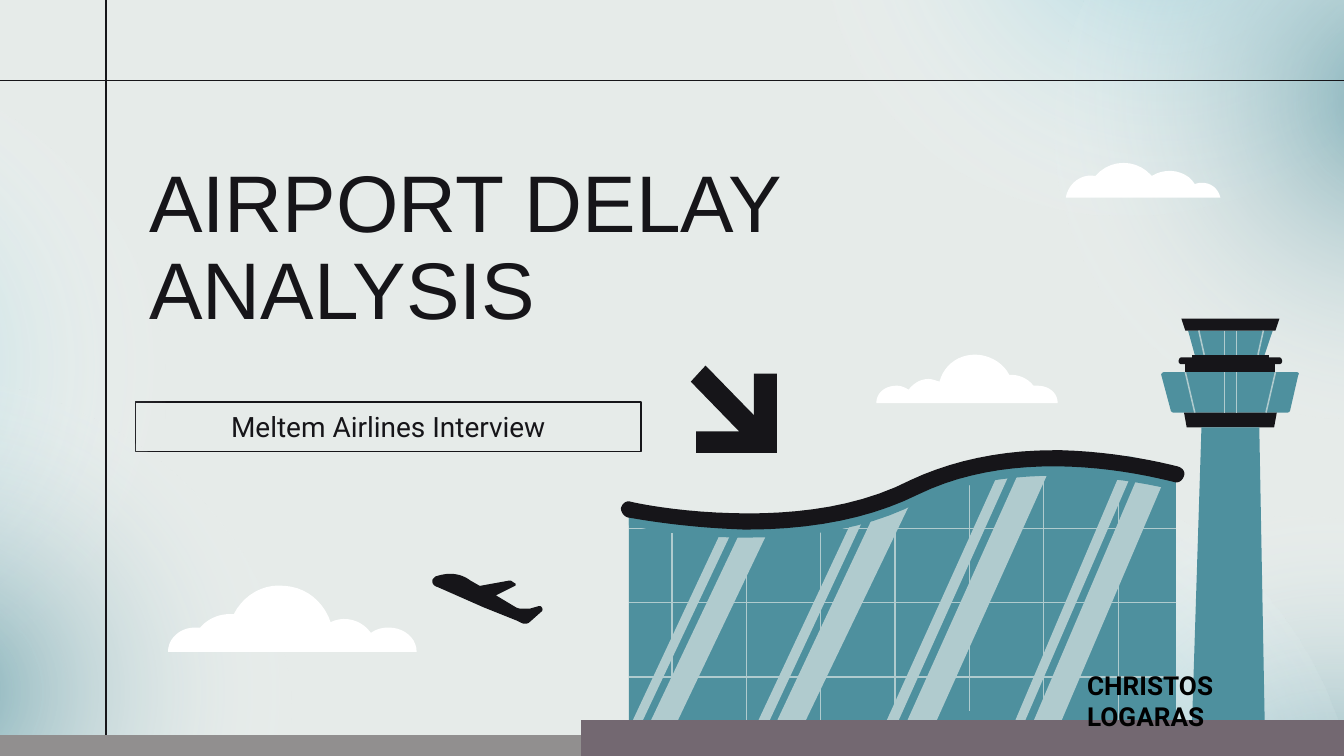
from pptx import Presentation
from pptx.dml.color import RGBColor as RGB
from pptx.enum.shapes import MSO_CONNECTOR as LINK, MSO_SHAPE as SHAPE
from pptx.enum.text import MSO_ANCHOR as ANCHOR, PP_ALIGN as ALIGN
from pptx.oxml import parse_xml
from pptx.oxml.ns import nsdecls, qn
from pptx.util import Inches, Pt

INK = RGB(0x16, 0x15, 0x19)
TEAL = RGB(0x4E, 0x90, 0x9E)
SKY = RGB(0x80, 0xC8, 0xD8)
GLASS = RGB(0xB0, 0xCB, 0xCE)
WHITE = RGB(0xFF, 0xFF, 0xFF)
PALE = RGB(0xE6, 0xEB, 0xE9)
GREY = RGB(0x91, 0x8F, 0x8F)
MAUVE = RGB(0x73, 0x68, 0x71)
BLACK = RGB(0, 0, 0)

# A 16:9 slide on a grid of ten columns; rows are as tall as columns are wide
deck = Presentation()
deck.slide_width = Inches(10)
deck.slide_height = deck.slide_width * 9 // 16
COL = deck.slide_width / 10
ROWS = deck.slide_height / COL

slide = deck.slides.add_slide(deck.slide_layouts[0])
slide.background.fill.solid()
slide.background.fill.fore_color.rgb = PALE
shapes = slide.shapes


def draw(trace, color):
    """Fill an outline: two numbers are a corner, six a Bezier curve."""
    steps = [[float(n) * COL for n in step.split()] for step in trace.split(",")]
    x, y = steps[0]
    pen = shapes.build_freeform(round(x), round(y))
    dots = []
    for step in steps[1:]:
        if len(step) == 6:
            a, b, c, d, e, f = step
            for i in range(1, 11):
                t = i / 10
                s = 1 - t
                dots.append((s**3 * x + 3 * s * s * t * a + 3 * s * t * t * c + t**3 * e,
                             s**3 * y + 3 * s * s * t * b + 3 * s * t * t * d + t**3 * f))
        else:
            dots.append(tuple(step))
        x, y = step[-2:]
    pen.add_line_segments(dots, close=True)
    form = pen.convert_to_shape()
    form.shadow.inherit = False
    form.fill.solid()
    form.fill.fore_color.rgb = color
    form.line.fill.background()


def rule(x1, y1, x2, y2, color, width):
    """Draw a straight line between two grid points."""
    ends = [round(n * COL) for n in (x1, y1, x2, y2)]
    line = shapes.add_connector(LINK.STRAIGHT, *ends)
    line.line.color.rgb = color
    line.line.width = Pt(width)
    line.element.spPr.append(parse_xml(f"<a:effectLst {nsdecls('a')}/>"))


# Soft glows at the edges
for x, y, turn, color, alpha in [
    (7.31, 4.07, 237.1, TEAL, 81), (5.1, 3.68, 237.1, SKY, 68),
    (-3.95, 0.41, 202, SKY, 68), (-3.01, 2.84, 202, TEAL, 68),
    (6.04, -3.08, 149, SKY, 68), (7.77, -1.57, 149, TEAL, 68),
]:
    box = [round(n * COL) for n in (x, y, 5.22, 4.6)]
    glow = shapes.add_shape(SHAPE.OVAL, *box)
    glow.rotation = turn
    glow.shadow.inherit = False
    glow.line.fill.background()
    glow.fill.background()
    stops = "".join(
        f'<a:gs pos="{pos}000"><a:srgbClr val="{tone}"><a:alpha val="{see}000"/></a:srgbClr></a:gs>'
        for pos, tone, see in [(0, color, alpha), (58, WHITE, 0), (100, WHITE, 0)])
    props = glow.element.spPr
    props.replace(props.find(qn("a:noFill")), parse_xml(
        f'<a:gradFill {nsdecls("a")} rotWithShape="1"><a:gsLst>{stops}</a:gsLst>'
        '<a:path path="circle"><a:fillToRect l="50000" t="50000" r="50000" b="50000"/>'
        '</a:path></a:gradFill>'))

# Frame lines
rule(0.79, 0, 0.79, ROWS, INK, 0.75)
rule(0, 0.6, 10, 0.6, INK, 0.75)

# Clouds
for cloud in [
    "2.89 4.67,2.85 4.67 2.8 4.68 2.76 4.71,2.69 4.61 2.56 4.58 2.46 4.63,"
    "2.41 4.48 2.28 4.37 2.12 4.36,1.96 4.34 1.81 4.43 1.74 4.57,"
    "1.73 4.57 1.72 4.57 1.71 4.57,1.62 4.57 1.54 4.61 1.49 4.67,"
    "1.47 4.67 1.46 4.67 1.45 4.67,1.34 4.67 1.25 4.75 1.25 4.85,"
    "3.1 4.85,3.1 4.75 3.01 4.67 2.89 4.67",
    "6.67 2.87,6.7 2.87 6.73 2.88 6.76 2.9,6.8 2.85 6.85 2.82 6.91 2.82,"
    "6.93 2.82 6.96 2.83 6.99 2.84,7.02 2.73 7.11 2.65 7.23 2.64,"
    "7.34 2.63 7.46 2.69 7.51 2.79,7.51 2.79 7.52 2.79 7.53 2.79,"
    "7.59 2.79 7.65 2.82 7.69 2.87,7.7 2.87 7.71 2.87 7.72 2.87,"
    "7.8 2.87 7.87 2.92 7.87 3,6.52 3,6.52 2.92 6.59 2.87 6.67 2.87",
    "9.08 1.47,7.93 1.47,7.95 1.36 8.05 1.29 8.15 1.31,8.26 1.18 8.46 1.18 8.57 1.31,"
    "8.68 1.24 8.83 1.27 8.89 1.37,8.97 1.34 9.06 1.38 9.08 1.47",
]:
    draw(cloud, WHITE)

# Runway and arrow
draw(f"10 5.47,0 5.47,0 {ROWS},10 {ROWS}", GREY)
draw("5.25 2.72,5.14 2.84,5.5 3.21,5.18 3.21,5.18 3.37,5.78 3.37,5.78 2.78,"
     "5.61 2.78,5.61 3.09", INK)

# Control tower
for part, color in [
    ("8.73 3.07,9.58 3.07,9.59 3.07 9.6 3.06 9.6 3.05,9.66 2.79,9.67 2.78 9.66 2.77 9.65 2.77,"
     "8.66 2.77,8.65 2.77 8.64 2.78 8.64 2.79,8.71 3.05,8.71 3.06 8.72 3.07 8.73 3.07", TEAL),
    ("9.5 3.07,9.48 3.18,8.83 3.18,8.81 3.07", INK),
    ("8.87 5.37,9.41 5.37,9.37 3.18,8.94 3.18", TEAL),
    ("9.49 2.71,9.49 2.77,8.82 2.77,8.82 2.71", INK),
    ("9.52 2.66,9.53 2.66 9.54 2.67 9.54 2.69,9.54 2.7 9.53 2.71 9.52 2.71,8.79 2.71,"
     "8.78 2.71 8.77 2.7 8.77 2.69,8.77 2.67 8.78 2.66 8.79 2.66", INK),
    ("8.89 2.64,9.41 2.64,9.47 2.46,8.84 2.46", TEAL),
    ("9.52 2.37,9.49 2.46,8.82 2.46,8.79 2.37", INK),
    ("9.44 2.64,9.44 2.69,8.87 2.69,8.87 2.64", INK),
]:
    draw(part, color)
for top, foot, pairs in [
    (2.46, 2.64, [(8.92, 8.96), (9.11, 9.11), (9.2, 9.2), (9.4, 9.36)]),
    (2.77, 3.07, [(8.82, 8.89), (9.11, 9.11), (9.2, 9.2), (9.49, 9.42)]),
]:
    for x1, x2 in pairs:
        rule(x1, top, x2, foot, GLASS, 0.83)

# Terminal wall with glints
draw("4.68 3.79,4.68 5.37,8.75 5.37,8.75 3.53,8.36 3.43 7.51 3.28 6.81 3.63,"
     "5.98 4.03 4.93 3.84 4.68 3.79", TEAL)
for glint in [
    "7.68 5.39,7.87 5.43,8.71 3.46,8.52 3.42", "7.55 5.37,7.62 5.38,8.47 3.41,8.39 3.39",
    "6.72 5.43,6.92 5.47,7.81 3.49,7.61 3.45", "6.58 5.4,6.66 5.42,7.55 3.44,7.47 3.43",
    "5.67 5.6,5.87 5.62,6.76 3.77,6.55 3.73", "5.54 5.58,5.62 5.59,6.44 3.83,6.37 3.81",
    "4.73 5.6,4.92 5.62,5.75 3.88,5.56 3.85", "4.61 5.57,4.68 5.58,5.5 3.84,5.43 3.82",
]:
    draw(glint, GLASS)

# Window bars: seven upright, three level, one pitch
GAP = (8.32 - 5) / 6
for i, top in enumerate([3.84, 3.84, 3.8, 3.71, 3.57, 3.5, 3.53]):
    x = 5 + i * GAP
    foot = top + 1.72 if i < 5 else ROWS
    rule(x, top, x, foot, GLASS, 0.67)
for i in range(3):
    y = 3.93 + i * GAP
    rule(8.75, y, 4.68, y, GLASS, 0.67)

# Ground, eaves and roof
draw(f"10 5.36,10 {ROWS},4.32 {ROWS},4.32 5.36", MAUVE)
draw("7.84 3.42,7.86 3.42 7.88 3.42 7.9 3.42,8.24 3.42 8.55 3.48 8.75 3.53,8.75 3.65,"
     "8.55 3.6 8.22 3.54 7.84 3.54,7.52 3.54 7.16 3.59 6.83 3.74,"
     "6.49 3.92 6.06 4 5.57 4,5.53 4,5.24 4 4.96 3.97 4.68 3.91,4.68 3.8,"
     "4.8 3.82 5.15 3.89 5.57 3.89,5.95 3.89 6.39 3.83 6.78 3.64,"
     "7.08 3.49 7.44 3.42 7.84 3.42", TEAL)
draw("7.84 3.35,7.86 3.35 7.88 3.35 7.9 3.35,8.25 3.36 8.56 3.42 8.76 3.47,"
     "8.8 3.48 8.82 3.51 8.81 3.54,8.8 3.57 8.78 3.59 8.75 3.59,"
     "8.55 3.54 8.22 3.47 7.84 3.47,7.51 3.47 7.16 3.52 6.83 3.68,"
     "6.49 3.85 6.06 3.94 5.57 3.94,5.53 3.94,5.24 3.93 4.95 3.9 4.67 3.85,"
     "4.64 3.84 4.62 3.81 4.62 3.78,4.63 3.75 4.65 3.73 4.68 3.73,"
     "4.8 3.76 5.15 3.82 5.57 3.82,5.95 3.82 6.39 3.77 6.78 3.57,"
     "7.08 3.43 7.44 3.35 7.84 3.35", INK)

# Plane
draw("3.35 4.27,3.41 4.27 3.46 4.29 3.5 4.32,3.57 4.36,3.79 4.32,3.8 4.32,3.83 4.34,"
     "3.84 4.34 3.84 4.36 3.83 4.36,3.69 4.43,3.84 4.52,3.86 4.53 3.88 4.53 3.9 4.53,"
     "3.91 4.53 3.92 4.53 3.94 4.53,4.01 4.51,4.02 4.51,4.04 4.52 4.04 4.54 4.03 4.55,"
     "3.94 4.63,3.93 4.64 3.92 4.64 3.91 4.64,3.9 4.64 3.9 4.64 3.89 4.64,3.85 4.62,"
     "3.6 4.52,3.26 4.37,3.22 4.36 3.21 4.33 3.22 4.31,3.23 4.3 3.23 4.3 3.24 4.29,"
     "3.27 4.28 3.31 4.27 3.35 4.27", INK)

# Title, subtitle and author
title, sub = shapes.title, slide.placeholders[1]
name = shapes.add_textbox(0, 0, 0, 0)
for shape, box, text, font, size, color, bold, align, anchor in [
    (title, (1.01, 0.82, 6.7, 2.08), "AIRPORT DELAY ANALYSIS",
     "Arial", 43, INK, False, ALIGN.LEFT, ANCHOR.MIDDLE),
    (sub, (1.01, 2.99, 3.76, 0.37), "Meltem Airlines Interview",
     "Roboto", 15, INK, False, ALIGN.CENTER, ANCHOR.MIDDLE),
    (name, (7.99, 4.88, 1.9, 0.44), "CHRISTOS LOGARAS",
     "Roboto", 14, BLACK, True, ALIGN.LEFT, ANCHOR.TOP),
]:
    shape.left, shape.top, shape.width, shape.height = [round(n * COL) for n in box]
    frame = shape.text_frame
    frame.text = text
    frame.word_wrap = True
    frame.vertical_anchor = anchor
    frame.margin_left = frame.margin_right = Inches(0.1)
    frame.margin_top = frame.margin_bottom = Inches(0.1)
    para = frame.paragraphs[0]
    para.alignment = align
    para.space_before = Pt(0)
    run = para.runs[0].font
    run.name, run.size, run.bold = font, Pt(size), bold
    run.color.rgb = color
title.text_frame.paragraphs[0].line_spacing = 0.9
sub.line.color.rgb = INK
sub.line.width = Pt(0.75)

deck.save("out.pptx")
